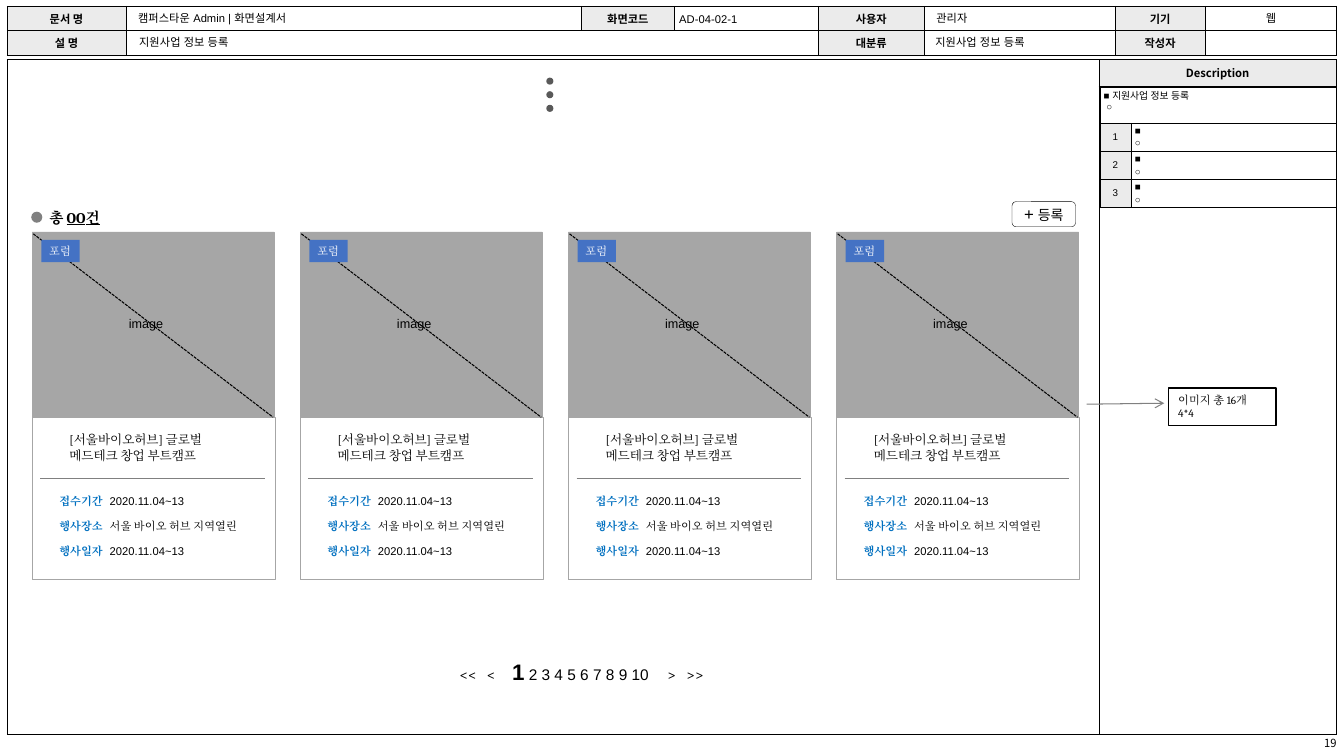
from typing import NamedTuple

from lxml import etree
from pptx import Presentation
from pptx.dml.color import RGBColor
from pptx.enum.dml import MSO_LINE
from pptx.enum.shapes import MSO_CONNECTOR, MSO_SHAPE
from pptx.enum.text import MSO_ANCHOR, PP_ALIGN
from pptx.oxml.ns import qn
from pptx.util import Inches, Pt

LEFT, CENTER, RIGHT = PP_ALIGN.LEFT, PP_ALIGN.CENTER, PP_ALIGN.RIGHT
TOP, MIDDLE = MSO_ANCHOR.TOP, MSO_ANCHOR.MIDDLE
RECTANGLE, ROUNDED, OVAL = MSO_SHAPE.RECTANGLE, MSO_SHAPE.ROUNDED_RECTANGLE, MSO_SHAPE.OVAL
BULLET_DOT = MSO_SHAPE.FLOWCHART_CONNECTOR
STRAIGHT, DASHED = MSO_CONNECTOR.STRAIGHT, MSO_LINE.SQUARE_DOT

# The slide is a grid of tenths of an inch
SLIDE_COLUMNS, SLIDE_ROWS = 133.33, 75
CARD_COUNT, CARD_LEFT, CARD_PITCH = 4, 3.2, 26.6


class Style(NamedTuple):
    name: str
    size: float
    color: str = "000000"
    bold: bool = False
    underline: bool = False


class Theme:
    black, white, header = "000000", "FFFFFF", "EBEBEB"
    image, gray, dot, badge, blue = "A6A6A6", "808080", "595959", "4472C4", "0070C0"
    hairline, thin, medium = 0.25, 0.75, 1
    label = Style("Noto Sans CJK KR", 8, bold=True)
    page = Style("Noto Sans CJK KR", 8)
    value = Style("Arial", 8)
    note = Style("Arial", 7)
    caption = Style("Arial", 9)
    plus = Style("Arial", 12)
    button = Style("Arial", 10)
    pages = Style("Arial", 11)
    current_page = Style("Arial", 16, bold=True)
    arrows = Style("Cambria", 11)
    total = Style("Cambria", 10.5, bold=True)
    count = Style("Cambria", 10.5, bold=True, underline=True)
    card_title = Style("Cambria", 9)
    tag = Style("Cambria", 8, white)
    field = Style("Cambria", 8, blue, True)
    place = Style("Cambria", 8)


def grid(count):
    return Inches(round(count / 10, 3))


def set_values(target, values):
    for name, value in values.items():
        setattr(target, name, value)


def write(frame, paragraphs, align=LEFT, anchor=TOP, insets=(1, 0.5, 1, 0.5),
          wrap=True, gap=0, tabs=()):
    """Each paragraph is a list of (text, style) runs."""
    set_values(frame, {"word_wrap": wrap, "vertical_anchor": anchor})
    sides = ("margin_left", "margin_top", "margin_right", "margin_bottom")
    set_values(frame, dict(zip(sides, map(grid, insets))))
    for index, runs in enumerate(paragraphs):
        paragraph = frame.add_paragraph() if index else frame.paragraphs[0]
        paragraph.alignment = align
        if tabs:
            tab_list = etree.SubElement(paragraph._p.get_or_add_pPr(), qn("a:tabLst"))
            for stop in tabs:
                etree.SubElement(tab_list, qn("a:tab"), pos=str(grid(stop)), algn="l")
        if index and gap:
            paragraph.space_before = Pt(gap)
        for text, style in runs:
            if text == "\n":
                paragraph.add_line_break()
                continue
            run = paragraph.add_run()
            run.text = text
            set_values(run.font, {"name": style.name, "size": Pt(style.size),
                                  "bold": style.bold, "underline": style.underline})
            run.font.color.rgb = RGBColor.from_string(style.color)
            etree.SubElement(run.font._element, qn("a:ea"), typeface=style.name)


def add_text(shapes, area, paragraphs, **layout):
    write(shapes.add_textbox(*map(grid, area)).text_frame, paragraphs, **layout)


def add_box(shapes, kind, area, fill=None, line=None, width=Theme.hairline):
    shape = shapes.add_shape(kind, *map(grid, area))
    shape.shadow.inherit = False
    if fill:
        shape.fill.solid()
        shape.fill.fore_color.rgb = RGBColor.from_string(fill)
    else:
        shape.fill.background()
    if line:
        shape.line.color.rgb = RGBColor.from_string(line)
        shape.line.width = Pt(width)
    else:
        shape.line.fill.background()
    return shape


def add_line(shapes, ends, color, dash=None, arrow=False):
    line = shapes.add_connector(STRAIGHT, *map(grid, ends))
    line.line.color.rgb = RGBColor.from_string(color)
    set_values(line.line, {"width": Pt(Theme.thin), "dash_style": dash})
    if arrow:
        etree.SubElement(line.line._get_or_add_ln(), qn("a:tailEnd"), type="arrow")
    etree.SubElement(line.element.spPr, qn("a:effectLst"))


def add_table(shapes, left, top, columns, rows):
    table = shapes.add_table(len(rows), len(columns), grid(left), grid(top),
                             grid(sum(columns)), grid(sum(rows))).table
    set_values(table, {"first_row": False, "horz_banding": False})
    for column, width in zip(table.columns, columns):
        column.width = grid(width)
    for row, height in zip(table.rows, rows):
        row.height = grid(height)
    for cell in table.iter_cells():
        properties = cell._tc.get_or_add_tcPr()
        for side in ("lnL", "lnR", "lnT", "lnB"):
            border = etree.SubElement(properties, qn(f"a:{side}"), w=str(Pt(Theme.hairline)))
            fill = etree.SubElement(border, qn("a:solidFill"))
            etree.SubElement(fill, qn("a:srgbClr"), val=Theme.black)
        fill_cell(cell, Theme.white)
        set_values(cell, {"margin_top": 0, "margin_bottom": 0})
        # Small type keeps an empty cell from stretching its row
        etree.SubElement(cell.text_frame.paragraphs[0]._p, qn("a:endParaRPr"), sz="800")
    return table


def fill_cell(cell, color):
    cell.fill.solid()
    cell.fill.fore_color.rgb = RGBColor.from_string(color)


def fill_in(cell, paragraphs, color=Theme.white, align=CENTER, anchor=MIDDLE,
            insets=(0.4, 0.4, 0.4, 0.4), gap=0):
    fill_cell(cell, color)
    write(cell.text_frame, paragraphs, align, anchor, insets, gap=gap)
    sides = ("margin_left", "margin_top", "margin_right", "margin_bottom")
    set_values(cell, dict(zip(sides, map(grid, insets))))
    cell.vertical_anchor = anchor


def add_document_header(shapes):
    table = add_table(shapes, 0.7, 0.6, (11.8, 45.2, 9.2, 14.3, 10.5, 18.9, 9, 13), (2.4, 2.4))
    table.cell(1, 1).merge(table.cell(1, 3))
    labels = {(0, 0): "문서 명", (0, 2): "화면코드", (0, 4): "사용자", (0, 6): "기기",
              (1, 0): "설 명", (1, 4): "대분류", (1, 6): "작성자"}
    for place, text in labels.items():
        fill_in(table.cell(*place), [[(text, Theme.label)]], Theme.header)
    values = {1: ("캠퍼스타운 Admin | 화면설계서", LEFT), 5: ("관리자", LEFT), 7: ("웹", CENTER)}
    for column, (text, align) in values.items():
        inset = 1.2 if align == LEFT else 0.1
        fill_in(table.cell(0, column), [[(text, Theme.value)]], align=align,
                insets=(inset, 0.1, 0.1, 0.1))


def add_description(shapes):
    frame = add_table(shapes, 0.7, 5.9, (108.3, 23.6), (2.6, 64.3))
    frame.cell(0, 0).merge(frame.cell(1, 0))
    fill_in(frame.cell(0, 1), [[("Description", Theme.label)]], Theme.header)
    notes = add_table(shapes, 109.1, 8.6, (3.1, 20.4), (3.6, 2.8, 2.8, 2.8))
    notes.cell(0, 0).merge(notes.cell(0, 1))
    fill_in(notes.cell(0, 0), [[("■ 지원사업 정보 등록", Theme.note)], [(" ○", Theme.note)]],
            align=LEFT, anchor=TOP, insets=(0.4, 0.4, 0.1, 0.1))
    for number in range(1, 4):
        fill_in(notes.cell(number, 0), [[(str(number), Theme.note)]], Theme.header,
                insets=(0.1, 0.1, 0.1, 0.1))
        fill_in(notes.cell(number, 1), [[("■", Theme.note)], [("○", Theme.note)]],
                align=LEFT, insets=(0.4, 0.1, 0.4, 0.1), gap=1.4)


def add_card(shapes, left):
    card = shapes.add_group_shape().shapes
    add_box(card, RECTANGLE, (left, 23, 24, 34.5), Theme.image, Theme.image)
    add_box(card, RECTANGLE, (left, 41.4, 24.1, 16.1), Theme.white, Theme.image)
    add_line(card, (left + 0.1, 23.2, left + 23.9, 41.4), Theme.black, DASHED)
    add_text(card, (left + 8.6, 30.8, 6.4, 2.5), [[("image", Theme.caption)]])
    add_box(card, RECTANGLE, (left + 0.9, 23.8, 3.8, 2.2), Theme.badge)
    add_text(card, (left + 0.7, 23.7, 4.3, 2.4), [[("포럼", Theme.tag)]])
    add_line(card, (left + 0.8, 47.5, left + 23.1, 47.5), Theme.gray)
    add_text(card, (left + 2.7, 42.4, 18.1, 4),
             [[("[서울바이오허브] 글로벌 메드테크 창업 부트캠프", Theme.card_title)]])
    fields = [("접수기간", "2020.11.04~13", Theme.value),
              ("행사장소", "서울 바이오 허브 지역열린", Theme.place),
              ("행사일자", "2020.11.04~13", Theme.value)]
    add_text(card, (left + 1.7, 48.6, 20.6, 7.7),
             [[(f"{name}\t", Theme.field), (text, style)] for name, text, style in fields],
             gap=8, tabs=(5,))


def main():
    presentation = Presentation()
    set_values(presentation, {"slide_width": grid(SLIDE_COLUMNS),
                              "slide_height": grid(SLIDE_ROWS)})
    slide = presentation.slides.add_slide(presentation.slide_layouts[5])
    shapes = slide.shapes

    # Document frame
    add_document_header(shapes)
    add_description(shapes)
    add_text(shapes, (109, 72.6, 23.6, 2.4), [[("19", Theme.page)]], align=RIGHT,
             insets=(1, 0.5, 0, 0.5))
    add_text(shapes, (66.4, 0.7, 14.3, 2.3), [[("AD-04-02-1", Theme.value)]])
    subject = [[("지원사업 정보 등록", Theme.value)]]
    add_text(shapes, (91.8, 3, 11.8, 2.4), subject, wrap=False)
    title = shapes.title
    set_values(title, dict(zip(("left", "top", "width", "height"),
                               map(grid, (12.8, 3, 11.8, 2.4)))))
    write(title.text_frame, subject, wrap=False)
    shapes.element.append(title.element)

    # List heading and register button
    for row in range(3):
        add_box(shapes, OVAL, (54.2, 7.7 + 1.35 * row, 0.7, 0.7), Theme.dot)
    add_box(shapes, BULLET_DOT, (3.1, 21, 1.1, 1.1), Theme.gray)
    add_text(shapes, (3.9, 20.2, 7.9, 2.8), [[("총 ", Theme.total), ("OO건", Theme.count)]])
    button = add_box(shapes, ROUNDED, (100.4, 20, 6.3, 2.5), line=Theme.black)
    write(button.text_frame, [[("+", Theme.plus), (" 등록", Theme.button)]],
          CENTER, MIDDLE, (0.4, 0.4, 0.4, 0.4))

    # Cards and page numbers
    for index in range(CARD_COUNT):
        add_card(shapes, CARD_LEFT + CARD_PITCH * index)
    add_text(shapes, (42.4, 64.8, 30.5, 3.7),
             [[("<<\t<\t", Theme.arrows), ("1", Theme.current_page),
               (" 2 3 4 5 6 7 8 9 10\t", Theme.pages), (">\t>>", Theme.arrows)]],
             insets=(3.2, 0.5, 1, 0.5), tabs=(2.7, 5.2, 20.6, 22.5))

    # Remark beside the cards
    add_line(shapes, (107.8, 40.1, 115.5, 40), Theme.gray, arrow=True)
    remark = add_box(shapes, RECTANGLE, (115.9, 38.5, 10.7, 3.7), line=Theme.black,
                     width=Theme.medium)
    write(remark.text_frame, [[("이미지 총 16개", Theme.place), ("\n", Theme.place),
                               ("4*4", Theme.place)]])
    presentation.save("out.pptx")


if __name__ == "__main__":
    main()
